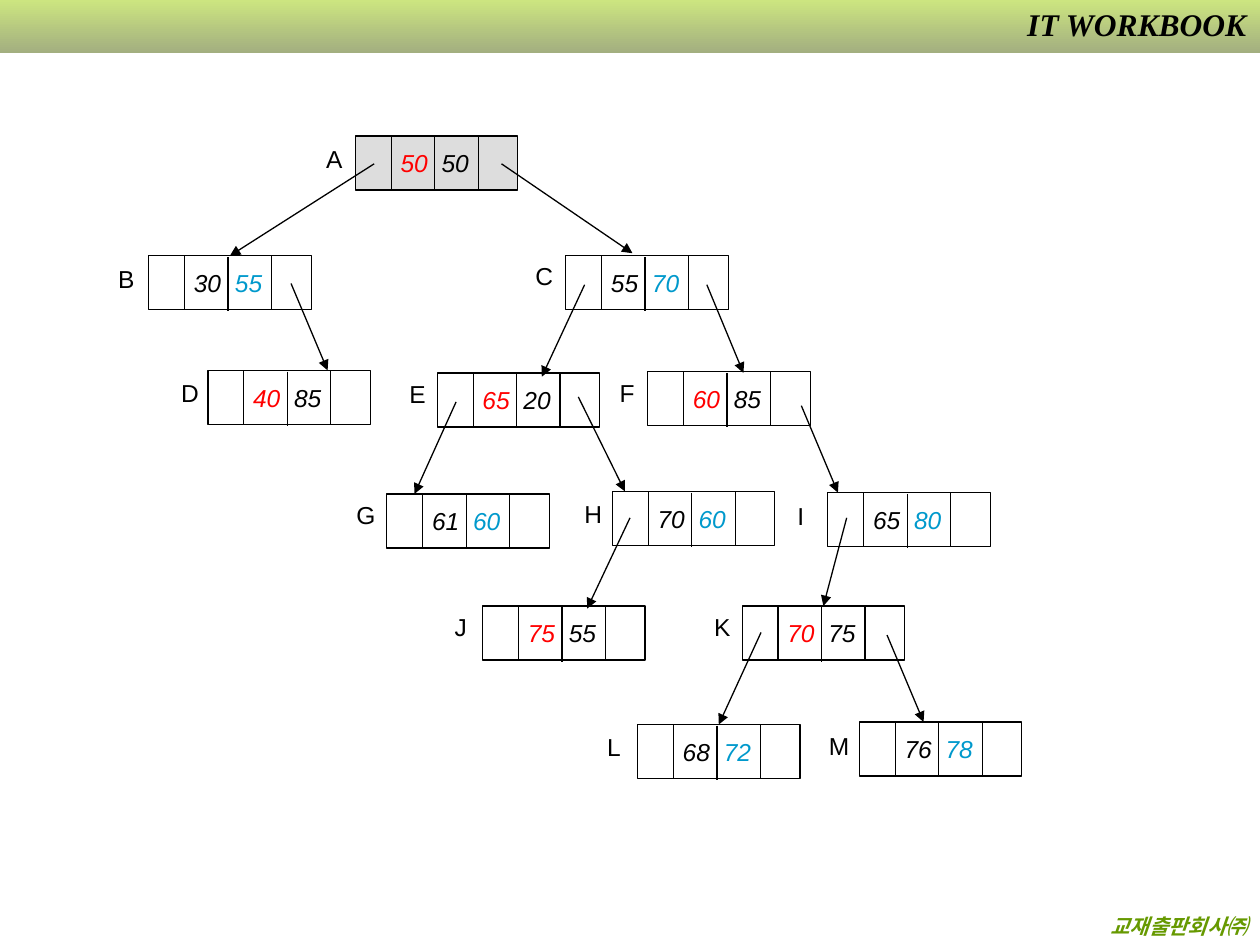
import pptx
import pptx.dml.color
import pptx.enum.shapes
import pptx.enum.text
import pptx.oxml
import pptx.oxml.ns
import pptx.util
import lxml.etree

RGB = pptx.dml.color.RGBColor
BLACK = RGB(0x00, 0x00, 0x00)
RED = RGB(0xFF, 0x00, 0x00)
BLUE = RGB(0x00, 0x99, 0xCC)
GREY = RGB(0xDD, 0xDD, 0xDD)
GREEN = RGB(0x66, 0x99, 0x00)
BAND_TOP = RGB(0xCC, 0xE5, 0x80)
BAND_BOTTOM = RGB(0xA3, 0xAF, 0x80)

RECTANGLE = pptx.enum.shapes.MSO_SHAPE.RECTANGLE
STRAIGHT = pptx.enum.shapes.MSO_CONNECTOR.STRAIGHT
LEFT = pptx.enum.text.PP_ALIGN.LEFT
CENTER = pptx.enum.text.PP_ALIGN.CENTER
RIGHT = pptx.enum.text.PP_ALIGN.RIGHT
MIDDLE = pptx.enum.text.MSO_ANCHOR.MIDDLE

# The grid has 100 columns and 75 rows of 0.1 inch
COLUMNS, ROWS, CELL = 100, 75, 0.1
NODE_WIDTH, NODE_HEIGHT = 12.9, 4.3
VALUES_OFFSET, VALUES_WIDTH = 2.85, 6.9
DIVIDER_OFFSET = 6.3

# name: (column, row, first value, its colour, second value, its colour,
#        label column, label row)
NODES = {
    "A": (28.2, 10.8, "50", RED, "50", BLACK, 24.9, 10.9),
    "B": (11.8, 20.3, "30", BLACK, "55", BLUE, 8.4, 20.5),
    "C": (44.9, 20.3, "55", BLACK, "70", BLUE, 41.5, 20.2),
    "D": (16.5, 29.4, "40", RED, "85", BLACK, 13.4, 29.5),
    "E": (34.7, 29.6, "65", RED, "20", BLACK, 31.5, 29.6),
    "F": (51.4, 29.5, "60", RED, "85", BLACK, 48.2, 29.5),
    "G": (30.7, 39.2, "61", BLACK, "60", BLUE, 27.3, 39.2),
    "H": (48.6, 39.0, "70", BLACK, "60", BLUE, 45.4, 39.1),
    "I": (65.7, 39.1, "65", BLACK, "80", BLUE, 62.3, 39.3),
    "J": (38.3, 48.1, "75", RED, "55", BLACK, 35.1, 48.1),
    "K": (58.9, 48.1, "70", RED, "75", BLACK, 55.7, 48.1),
    "L": (50.6, 57.5, "68", BLACK, "72", BLUE, 47.2, 57.6),
    "M": (68.2, 57.3, "76", BLACK, "78", BLUE, 64.8, 57.5),
}

# (start of the arrow, its end; a node name means the middle of its top side)
LINKS = [
    ((29.7, 13.0), "B"),
    ((39.8, 13.0), (50.2, 20.1)),
    ((23.1, 22.5), (26.0, 29.4)),
    ((46.4, 22.6), (43.0, 29.9)),
    ((56.1, 22.6), (59.0, 29.6)),
    ((36.2, 31.9), (32.9, 39.2)),
    ((45.9, 31.5), (49.6, 39.0)),
    ((63.6, 32.2), (66.5, 39.1)),
    ((50.0, 41.1), (46.6, 48.3)),
    ((67.2, 41.1), "K"),
    ((60.4, 50.2), "L"),
    ((70.4, 50.4), (73.3, 57.3)),
]


def grid(cells):
    return pptx.util.Inches(cells * CELL)


class TreeSlide:
    font = "Arial"
    header_font = "Times New Roman"
    size = 14
    line_width = pptx.util.Pt(0.75)

    def __init__(self, deck):
        self.slide = deck.slides.add_slide(deck.slide_layouts[6])
        self.shapes = self.slide.shapes

    def run(self, paragraph, text, color, size=None, font=None, **style):
        run = paragraph.add_run()
        run.text = text
        run.font.name = font or self.font
        run.font.size = pptx.util.Pt(size or self.size)
        run.font.color.rgb = color
        for key, value in style.items():
            setattr(run.font, key, value)
        return run

    def band(self, height):
        band = self.shapes.add_shape(RECTANGLE, 0, 0, grid(COLUMNS), grid(height))
        band.shadow.inherit = False
        band.line.fill.background()
        band.fill.gradient()
        band.fill.gradient_angle = 270
        for stop, color in zip(band.fill.gradient_stops, (BAND_TOP, BAND_BOTTOM)):
            stop.color.rgb = color

    def text(self, column, row, width, height, text, color, align=LEFT, wrap=False, **style):
        box = self.shapes.add_textbox(grid(column), grid(row), grid(width), grid(height))
        box.text_frame.word_wrap = wrap
        paragraph = box.text_frame.paragraphs[0]
        paragraph.alignment = align
        return self.run(paragraph, text, color, **style)

    def header(self, column, row, width, height, text, color, size):
        return self.text(column, row, width, height, text, color, RIGHT, True,
                         size=size, font=self.header_font, bold=True, italic=True)

    def text_shadow(self, run):
        effects = pptx.oxml.parse_xml(
            '<a:effectLst xmlns:a="http://schemas.openxmlformats.org/drawingml/2006/main">'
            '<a:outerShdw dist="17961" dir="2700000"><a:srgbClr val="FFFFFF"/></a:outerShdw>'
            '</a:effectLst>')
        run.font.fill._xPr.find(pptx.oxml.ns.qn("a:solidFill")).addnext(effects)

    def box(self, column, row, width, fill=None):
        box = self.shapes.add_shape(RECTANGLE, grid(column), grid(row),
                                    grid(width), grid(NODE_HEIGHT))
        box.shadow.inherit = False
        if fill is None:
            box.fill.background()
        else:
            box.fill.solid()
            box.fill.fore_color.rgb = fill
        box.line.color.rgb = BLACK
        box.line.width = self.line_width
        return box

    def line(self, start, end, arrow=False):
        line = self.shapes.add_connector(STRAIGHT, *map(grid, start + end))
        line.line.color.rgb = BLACK
        line.line.width = self.line_width
        properties = line._element.spPr
        if arrow:
            head = lxml.etree.SubElement(properties.find(pptx.oxml.ns.qn("a:ln")),
                                         pptx.oxml.ns.qn("a:tailEnd"))
            head.set("type", "triangle")
        lxml.etree.SubElement(properties, pptx.oxml.ns.qn("a:effectLst"))
        return line

    def node(self, name, column, row, first, first_color, second, second_color,
             label_column, label_row, fill=None):
        frame = self.box(column, row, NODE_WIDTH, fill)
        values = self.box(column + VALUES_OFFSET, row, VALUES_WIDTH).text_frame
        values.word_wrap = False
        values.vertical_anchor = MIDDLE
        paragraph = values.paragraphs[0]
        paragraph.alignment = CENTER
        self.run(paragraph, first, first_color, italic=True)
        # One widened space keeps the two values clear of the divider
        gap = self.run(paragraph, " ", first_color, italic=True)
        gap.font._element.set("spc", "390")
        self.run(paragraph, second, second_color, italic=True)
        divider = column + DIVIDER_OFFSET
        self.line((divider, row + 0.1), (divider, row + NODE_HEIGHT + 0.1))
        self.text(label_column, label_row, 3.3, 3.4, name, BLACK)
        return frame


def main():
    deck = pptx.Presentation()
    deck.slide_width, deck.slide_height = grid(COLUMNS), grid(ROWS)
    tree = TreeSlide(deck)

    # Header band, series title and publisher
    tree.band(4.2)
    tree.header(0.6, 72, 99.4, 3, "교재출판회사㈜", GREEN, 12)
    tree.text_shadow(tree.header(74.9, -0.1, 25, 4, "IT WORKBOOK", BLACK, 18))

    # Tree nodes, with the root shaded
    frames = {name: tree.node(name, *details, fill=GREY if name == "A" else None)
              for name, details in NODES.items()}

    # Arrows from parents to children
    for start, target in LINKS:
        if target in frames:
            column, row = NODES[target][:2]
            arrow = tree.line(start, (column + NODE_WIDTH / 2, row), arrow=True)
            arrow.end_connect(frames[target], 0)
        else:
            tree.line(start, target, arrow=True)

    deck.save("out.pptx")


if __name__ == "__main__":
    main()
